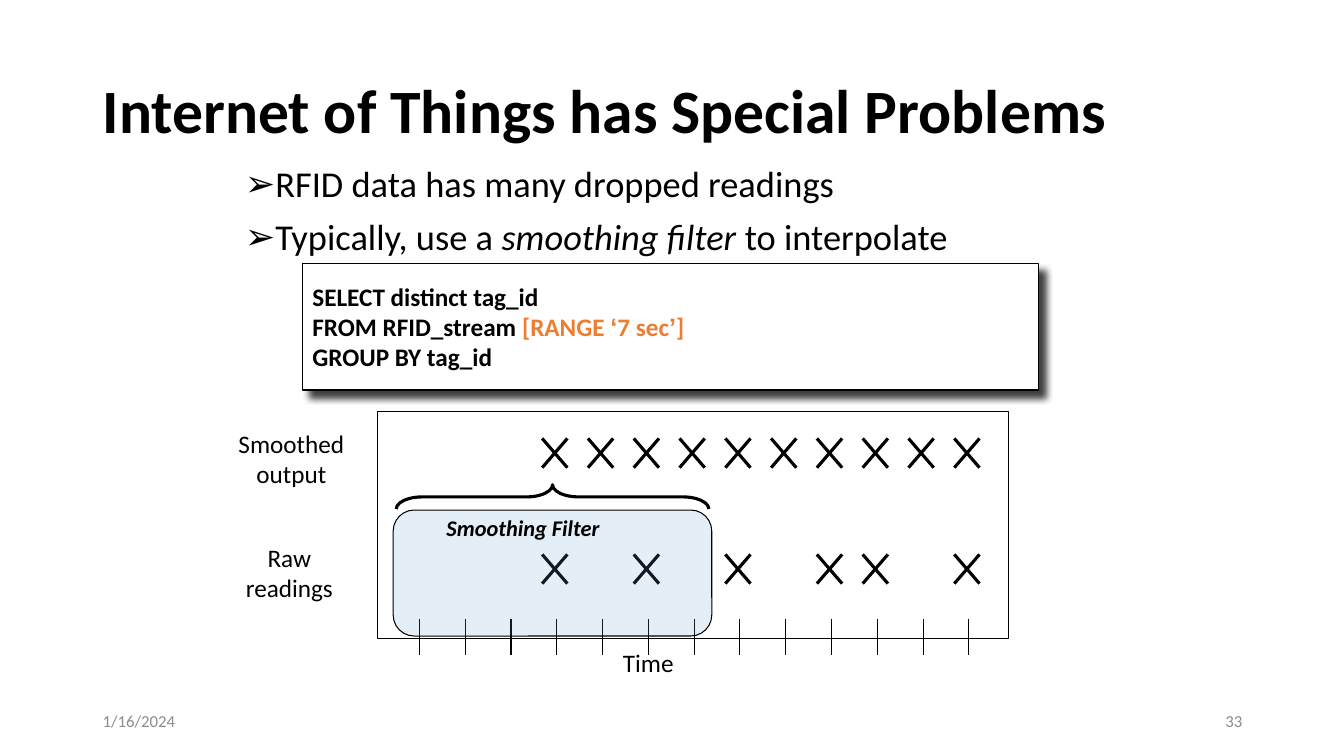
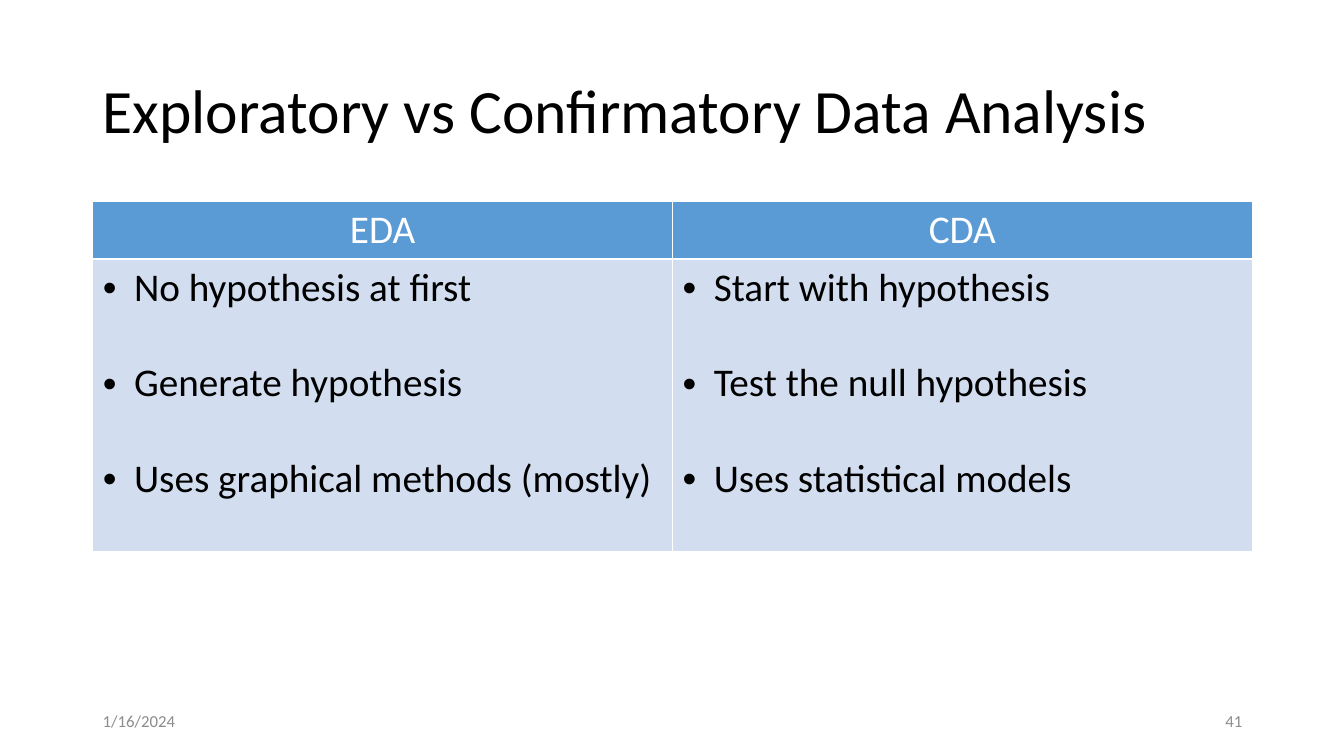
from lxml import etree
from pptx import Presentation
from pptx.dml.color import RGBColor
from pptx.enum.shapes import MSO_CONNECTOR, MSO_SHAPE
from pptx.enum.text import MSO_ANCHOR, PP_ALIGN
from pptx.oxml.ns import qn
from pptx.util import Inches, Pt

STRAIGHT = MSO_CONNECTOR.STRAIGHT
RECT, ROUNDED, BRACE = MSO_SHAPE.RECTANGLE, MSO_SHAPE.ROUNDED_RECTANGLE, MSO_SHAPE.LEFT_BRACE
TOP, MIDDLE = MSO_ANCHOR.TOP, MSO_ANCHOR.MIDDLE
LEFT, CENTER, RIGHT = PP_ALIGN.LEFT, PP_ALIGN.CENTER, PP_ALIGN.RIGHT

COLORS = {
    "ink": "000000",
    "paper": "FFFFFF",
    "footer": "8C8C8C",
    "blue": "5B9BD5",
    "pale": "D2DEEF",
    "orange": "ED7D31",
}
FONT = "Calibri"
DATE = "1/16/2024"

# Slide content
RFID_TITLE = "Internet of Things has Special Problems"
RFID_POINTS = [
    "RFID data has many dropped readings",
    [("Typically, use a ", {}), ("smoothing filter ", {"italic": True}), ("to interpolate", {})],
]
ORANGE = {"color": "orange"}
QUOTE = {"color": "orange", "font": "Arial"}
QUERY = [
    "SELECT distinct tag_id",
    [("FROM RFID_stream ", {}), ("[RANGE ", ORANGE), ("‘", QUOTE), ("7 sec", ORANGE),
     ("’", QUOTE), ("]", ORANGE)],
    "GROUP BY tag_id",
]
DIAGRAM_LABELS = [
    ("Time", (6.08, 6.37, 1.58, 0.4), LEFT),
    ("Raw readings", (2.17, 5.33, 1.4, 0.7), CENTER),
    ("Smoothed output", (2.04, 4.2, 1.7, 0.7), CENTER),
]
TICK_COUNT = 13
# Top of each row of readings, and the ticks that have one
READINGS = [
    (4.35, range(3, 13)),
    (5.5, [3, 5, 7, 9, 10, 12]),
]

ANALYSIS_TITLE = "Exploratory vs Confirmatory Data Analysis"
ANALYSIS = {
    "EDA": ["No hypothesis at first", "Generate hypothesis", "Uses graphical methods (mostly)"],
    "CDA": ["Start with hypothesis", "Test the null hypothesis", "Uses statistical models"],
}

# Shared geometry, in inches
MARGIN, CONTENT_WIDTH = 0.92, 11.5
FOOTER_TOP, FOOTER_WIDTH, FOOTER_HEIGHT = 6.95, 3, 0.4
FIRST_TICK, LAST_TICK = 4.16, 9.61
TICK_TOP, TICK_BOTTOM = 6.14, 6.5
MARK_WIDTH, MARK_HEIGHT, MARK_SHIFT = 0.25, 0.29, -0.02


def rgb(name):
    return RGBColor.from_string(COLORS[name])


def inches(box):
    return [Inches(value) for value in box]


def sub(parent, tag, **attributes):
    return etree.SubElement(parent, qn(tag), {k: str(v) for k, v in attributes.items()})


def write(frame, paragraphs, size=18, color="ink", bold=False, italic=False, font=FONT,
          align=LEFT, anchor=TOP, spacing=None, gap=0, bullet=None, indent=0):
    """Fill a frame; a paragraph is a string or a list of (text, overrides) runs."""
    frame.word_wrap = True
    frame.vertical_anchor = anchor
    for index, runs in enumerate(paragraphs):
        paragraph = frame.paragraphs[0] if index == 0 else frame.add_paragraph()
        paragraph.alignment = align
        if spacing:
            paragraph.line_spacing = spacing
        paragraph.space_before = Pt(gap if index else 0)
        if bullet:
            props = paragraph._p.get_or_add_pPr()
            props.set("marL", str(Inches(indent)))
            props.set("indent", str(-Inches(indent)))
            sub(props, "a:buFont", typeface="Arial")
            sub(props, "a:buChar", char=bullet)
        for text, changes in [(runs, {})] if isinstance(runs, str) else runs:
            run = paragraph.add_run()
            run.text = text
            run.font.size = Pt(size)
            run.font.name = changes.get("font", font)
            run.font.bold = changes.get("bold", bold)
            run.font.italic = changes.get("italic", italic)
            run.font.color.rgb = rgb(changes.get("color", color))


def add_text(slide, box, paragraphs, **style):
    write(slide.shapes.add_textbox(*inches(box)).text_frame, paragraphs, **style)


def add_outline(slide, kind, box, fill=None, width=0.75):
    shape = slide.shapes.add_shape(kind, *inches(box))
    shape.shadow.inherit = False
    if fill:
        shape.fill.solid()
        shape.fill.fore_color.rgb = rgb(fill)
    else:
        shape.fill.background()
    shape.line.color.rgb = rgb("ink")
    shape.line.width = Pt(width)
    return shape


def add_line(shapes, x1, y1, x2, y2, width):
    line = shapes.add_connector(STRAIGHT, *inches((x1, y1, x2, y2)))
    line.line.color.rgb = rgb("ink")
    line.line.width = Pt(width)
    sub(line._element.spPr, "a:effectLst")


def add_cross(slide, center, top):
    shapes = slide.shapes.add_group_shape().shapes
    left, right = center - MARK_WIDTH / 2, center + MARK_WIDTH / 2
    bottom = top + MARK_HEIGHT
    add_line(shapes, left, top, right, bottom, 2.25)
    add_line(shapes, right, top, left, bottom, 2.25)


def add_base_slide(deck, title, number, bold=False):
    slide = deck.slides.add_slide(deck.slide_layouts[6])
    add_text(slide, (MARGIN, 0.4, CONTENT_WIDTH, 1.45), [title],
             size=44, bold=bold, anchor=MIDDLE, spacing=0.9)
    number_left = MARGIN + CONTENT_WIDTH - FOOTER_WIDTH
    for text, left, align in [(DATE, MARGIN, LEFT), (number, number_left, RIGHT)]:
        add_text(slide, (left, FOOTER_TOP, FOOTER_WIDTH, FOOTER_HEIGHT), [text],
                 size=12, color="footer", align=align, anchor=MIDDLE)
    return slide


def add_query(slide):
    query = add_outline(slide, RECT, (3, 2.61, 7.3, 1.26), fill="paper")
    effects = query._element.spPr.find(qn("a:effectLst"))
    shadow = sub(effects, "a:outerShdw", blurRad=Pt(5), dist=Pt(7.1), dir=45 * 60000,
                 algn="ctr", rotWithShape=0)
    sub(sub(shadow, "a:srgbClr", val=COLORS["ink"]), "a:alpha", val=75000)
    write(query.text_frame, QUERY, bold=True, anchor=MIDDLE)


def add_timeline(slide):
    add_outline(slide, RECT, (3.74, 4.08, 6.26, 2.26))
    step = (LAST_TICK - FIRST_TICK) / (TICK_COUNT - 1)
    ticks = [FIRST_TICK + step * i for i in range(TICK_COUNT)]
    for x in ticks:
        add_line(slide.shapes, x, TICK_TOP, x, TICK_BOTTOM, 0.75)
    for top, slots in READINGS:
        for slot in slots:
            add_cross(slide, ticks[slot] + MARK_SHIFT, top)
    for text, box, align in DIAGRAM_LABELS:
        add_text(slide, box, [text], align=align)


def add_smoothing_filter(slide):
    window = add_outline(slide, ROUNDED, (3.9, 5.06, 3.16, 1.25), fill="blue")
    window.adjustments[0] = 0.167
    tint = window._element.spPr.find(qn("a:solidFill")).find(qn("a:srgbClr"))
    sub(tint, "a:alpha", val=17000)
    add_text(slide, (4.33, 5.05, 2.38, 0.37), ["Smoothing Filter"],
             size=16, bold=True, italic=True)
    brace = add_outline(slide, BRACE, (5.36, 3.38, 0.24, 3.1), width=2.25)
    brace.rotation = 90
    brace.adjustments[0] = 1.072


def style_cell(cell, fill):
    props = cell._tc.get_or_add_tcPr()
    for side in ("a:lnL", "a:lnR", "a:lnT", "a:lnB"):
        border = sub(sub(props, side, w=Pt(1)), "a:solidFill")
        sub(border, "a:srgbClr", val=COLORS["paper"])
    cell.fill.solid()
    cell.fill.fore_color.rgb = rgb(fill)


def add_comparison(slide):
    heights = [0.57, 2.9]
    box = (MARGIN, 2, CONTENT_WIDTH, sum(heights))
    table = slide.shapes.add_table(len(heights), len(ANALYSIS), *inches(box)).table
    for row, height in zip(table.rows, heights):
        row.height = Inches(height)
    for column, (heading, points) in enumerate(ANALYSIS.items()):
        table.columns[column].width = Inches(CONTENT_WIDTH / len(ANALYSIS))
        head, body = table.cell(0, column), table.cell(1, column)
        style_cell(head, "blue")
        style_cell(body, "pale")
        write(head.text_frame, [heading], size=28, color="paper", align=CENTER)
        write(body.text_frame, points, size=28, gap=34, bullet="•", indent=0.31)


def main():
    deck = Presentation()
    deck.slide_width, deck.slide_height = Inches(13.33), Inches(7.5)

    rfid = add_base_slide(deck, RFID_TITLE, "33", bold=True)
    add_timeline(rfid)
    add_text(rfid, (2.33, 1.6, 9.12, 5.32), RFID_POINTS,
             size=26, spacing=0.9, gap=10, bullet="➢", indent=0.25)
    add_query(rfid)
    add_smoothing_filter(rfid)

    add_comparison(add_base_slide(deck, ANALYSIS_TITLE, "41"))
    deck.save("out.pptx")


if __name__ == "__main__":
    main()
